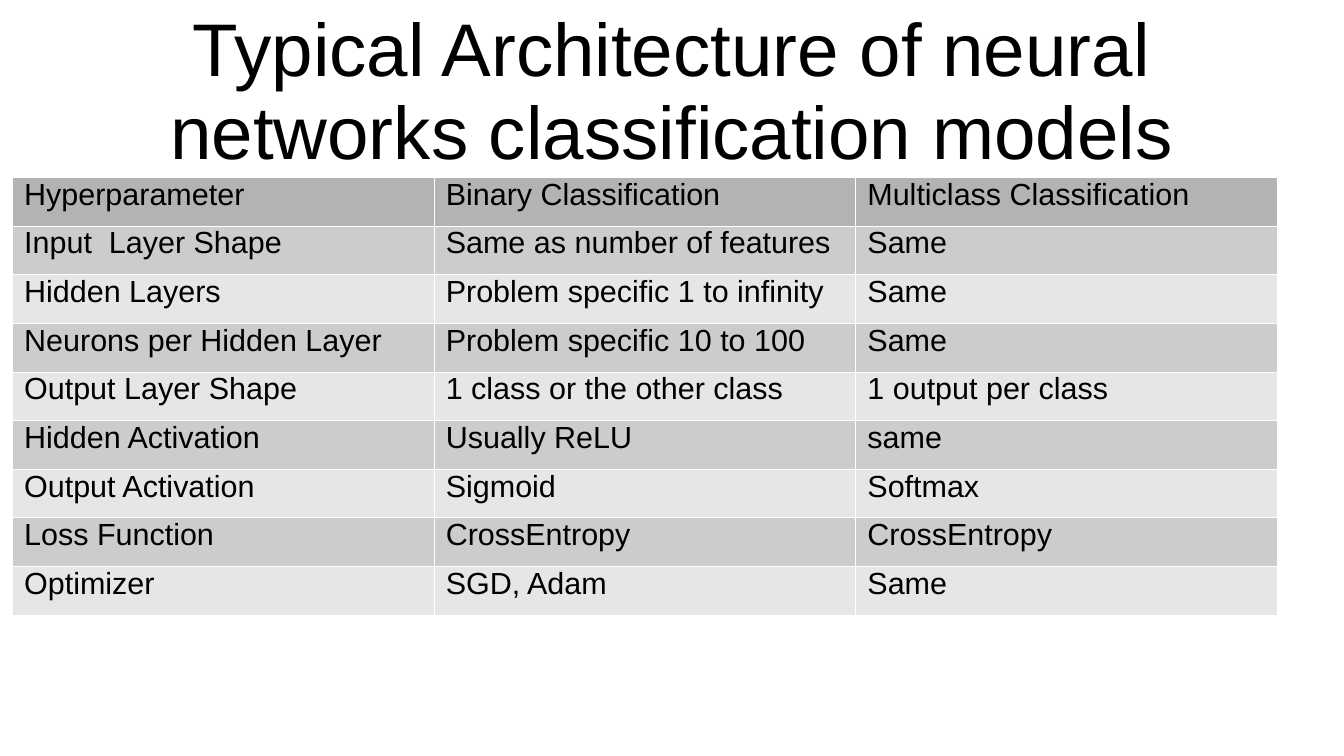
import pptx
import pptx.util
import pptx.dml.color
import pptx.enum.text
import pptx.oxml
import pptx.oxml.ns

EMU_PER_PX = 914400 / 122

ROWS = [
    ("Hyperparameter", "Binary Classification", "Multiclass Classification"),
    ("Input  Layer Shape", "Same as number of features", "Same"),
    ("Hidden Layers", "Problem specific 1 to infinity", "Same"),
    ("Neurons per Hidden Layer", "Problem specific 10 to 100", "Same"),
    ("Output Layer Shape", "1 class or the other class", "1 output per class"),
    ("Hidden Activation", "Usually ReLU", "same"),
    ("Output Activation", "Sigmoid", "Softmax"),
    ("Loss Function", "CrossEntropy", "CrossEntropy"),
    ("Optimizer", "SGD, Adam", "Same"),
]


def px(length):
    return pptx.util.Emu(round(length * EMU_PER_PX))


def color(hex_text):
    return pptx.dml.color.RGBColor.from_string(hex_text)


class SlideBuilder:
    font = "Arial"
    ink = "000000"
    border = "FFFFFF"
    header_fill = "B3B3B3"
    band_fills = ("CCCCCC", "E6E6E6")

    def __init__(self, slide):
        self.slide = slide

    def set_text(self, frame, text, size, spacing):
        frame.text = text
        para = frame.paragraphs[0]
        para.line_spacing = spacing
        for span in para.runs:
            span.font.name = self.font
            span.font.size = pptx.util.Pt(size)
            span.font.bold = False
            span.font.color.rgb = color(self.ink)
        return para

    def title(self, text, left, top, width, height):
        box = self.slide.shapes.title
        box.left, box.top = px(left), px(top)
        box.width, box.height = px(width), px(height)
        frame = box.text_frame
        frame.word_wrap = True
        frame.auto_size = pptx.enum.text.MSO_AUTO_SIZE.NONE
        frame.vertical_anchor = pptx.enum.text.MSO_ANCHOR.MIDDLE
        frame.margin_left = frame.margin_right = 0
        frame.margin_top = frame.margin_bottom = 0
        para = self.set_text(frame, text, 44, 0.93)
        para.alignment = pptx.enum.text.PP_ALIGN.CENTER

    def outline(self, cell):
        properties = cell._tc.get_or_add_tcPr()
        for side in ("lnL", "lnR", "lnT", "lnB"):
            properties.append(pptx.oxml.parse_xml(
                f'<a:{side} {pptx.oxml.ns.nsdecls("a")} w="720"><a:solidFill>'
                f'<a:srgbClr val="{self.border}"/></a:solidFill></a:{side}>'))

    def table(self, rows, left, top, width, height):
        table = self.slide.shapes.add_table(
            len(rows), len(rows[0]), px(left), px(top), px(width), px(height)).table
        for row_index, row in enumerate(rows):
            fill = self.band_fills[(row_index - 1) % 2] if row_index else self.header_fill
            for column_index, text in enumerate(row):
                cell = table.cell(row_index, column_index)
                self.outline(cell)
                cell.fill.solid()
                cell.fill.fore_color.rgb = color(fill)
                self.set_text(cell.text_frame, text, 18, 0.81)


def main():
    deck = pptx.Presentation()
    deck.slide_width, deck.slide_height = px(1344), px(756)
    page = SlideBuilder(deck.slides.add_slide(deck.slide_layouts[5]))
    page.title("Typical Architecture of neural networks classification models", 67, 10, 1210, 166)
    page.table(ROWS, 12, 177, 1265, 438)
    deck.save("out.pptx")


if __name__ == "__main__":
    main()
